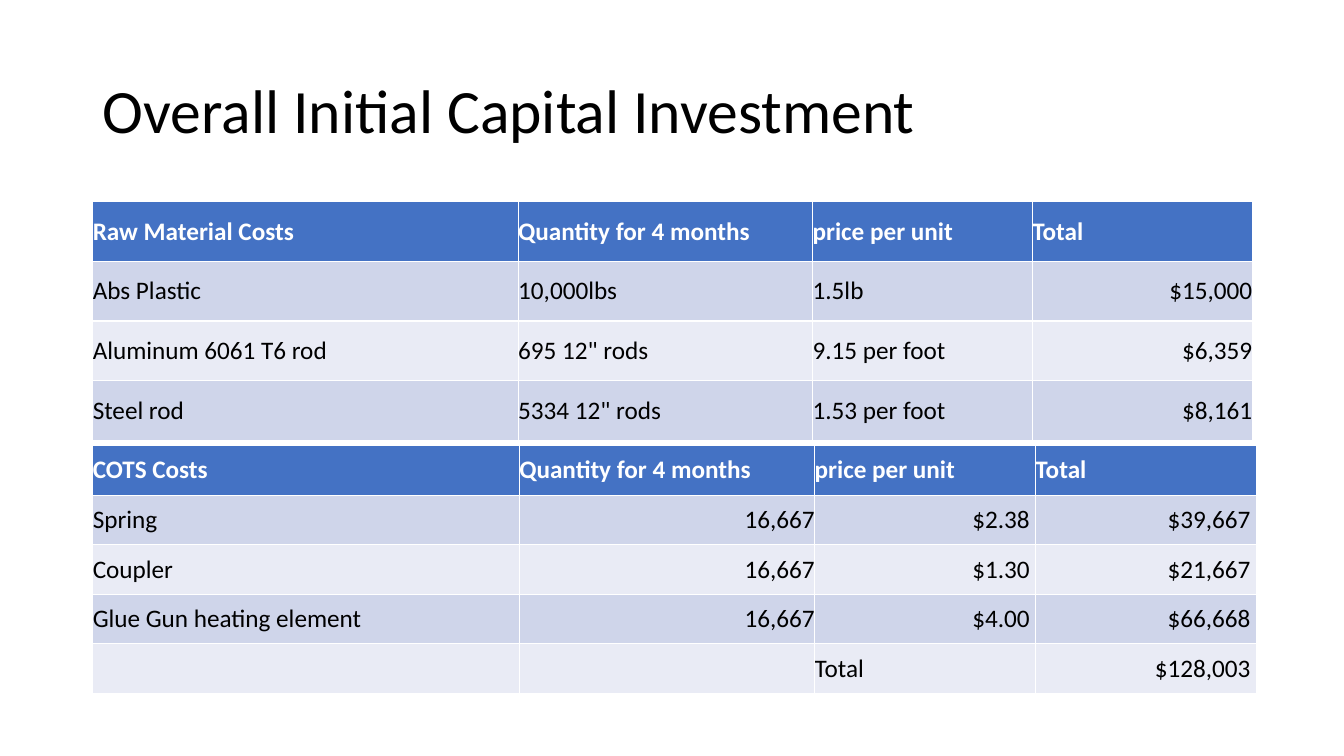
"""Build the slide on overall initial capital investment."""
from pptx import Presentation
from pptx.dml.color import RGBColor
from pptx.enum.text import MSO_ANCHOR, PP_ALIGN
from pptx.util import Inches, Pt

LEFT, RIGHT = PP_ALIGN.LEFT, PP_ALIGN.RIGHT
MIDDLE = MSO_ANCHOR.MIDDLE
FONT = "Calibri"
COLORS = {
    "head": "4472C4",
    "odd": "CFD5EA",
    "even": "E9EBF5",
    "light": "FFFFFF",
    "dark": "000000",
}

TITLE = "Overall Initial Capital Investment"
HEADS = ["Quantity for 4 months", "price per unit", "Total"]
TABLES = [
    {
        "top": 2, "height": 2.37, "cols": [4.22, 2.92, 2.18, 2.18],
        "rows": [
            ["Raw Material Costs", *HEADS],
            ["Abs Plastic", "10,000lbs", "1.5lb", "$15,000"],
            ["Aluminum 6061 T6 rod", '695 12" rods', "9.15 per foot", "$6,359"],
            ["Steel rod", '5334 12" rods', "1.53 per foot", "$8,161"],
        ],
    },
    {
        "top": 4.42, "height": 2.46, "cols": [4.23, 2.93, 2.19, 2.19],
        "rows": [
            ["COTS Costs", *HEADS],
            ["Spring", "16,667", "$2.38 ", "$39,667 "],
            ["Coupler", "16,667", "$1.30 ", "$21,667 "],
            ["Glue Gun heating element", "16,667", "$4.00 ", "$66,668 "],
            ["", "", "Total", "$128,003 "],
        ],
    },
]
EDGE = 0.92


def color(name):
    return RGBColor.from_string(COLORS[name])


def style(para, size, ink, bold=False):
    para.font.name = FONT
    para.font.size = Pt(size)
    para.font.bold = bold
    para.font.color.rgb = color(ink)


def numeric(text):
    return text.strip(" $").replace(",", "").replace(".", "").isdigit()


def fill_cell(cell, text, row):
    cell.margin_left = cell.margin_right = 0
    cell.margin_top = cell.margin_bottom = 0
    cell.vertical_anchor = MIDDLE
    cell.fill.solid()
    band = "odd" if row % 2 else "even"
    cell.fill.fore_color.rgb = color(band if row else "head")
    cell.text = text
    para = cell.text_frame.paragraphs[0]
    para.alignment = RIGHT if numeric(text) else LEFT
    style(para, 18, "dark" if row else "light", row == 0)


def add_costs(slide, top, height, cols, rows):
    frame = slide.shapes.add_table(
        len(rows), len(cols), Inches(EDGE), Inches(top),
        Inches(sum(cols)), Inches(height))
    table = frame.table
    for col, width in zip(table.columns, cols):
        col.width = Inches(width)
    for r, texts in enumerate(rows):
        for c, text in enumerate(texts):
            fill_cell(table.cell(r, c), text, r)


def main():
    deck = Presentation()
    deck.slide_width, deck.slide_height = Inches(13.33), Inches(7.5)
    slide = deck.slides.add_slide(deck.slide_layouts[5])
    title = slide.shapes.title
    title.left, title.top = Inches(EDGE), Inches(0.4)
    title.width, title.height = Inches(11.5), Inches(1.45)
    title.text_frame.text = TITLE
    title.text_frame.vertical_anchor = MIDDLE
    para = title.text_frame.paragraphs[0]
    para.alignment = LEFT
    para.line_spacing = 0.9
    style(para, 44, "dark")
    for costs in TABLES:
        add_costs(slide, **costs)
    deck.save("out.pptx")


if __name__ == "__main__":
    main()
